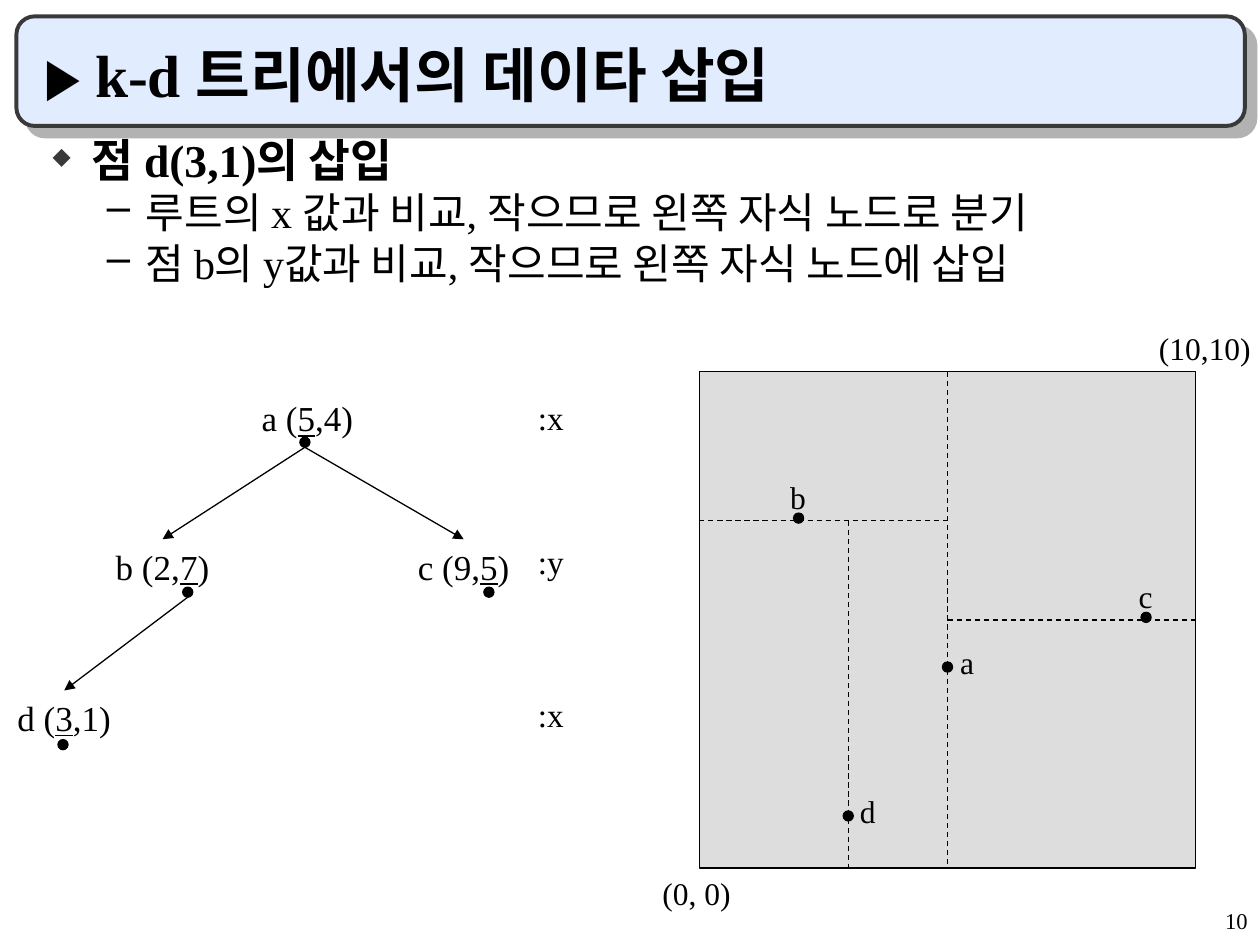
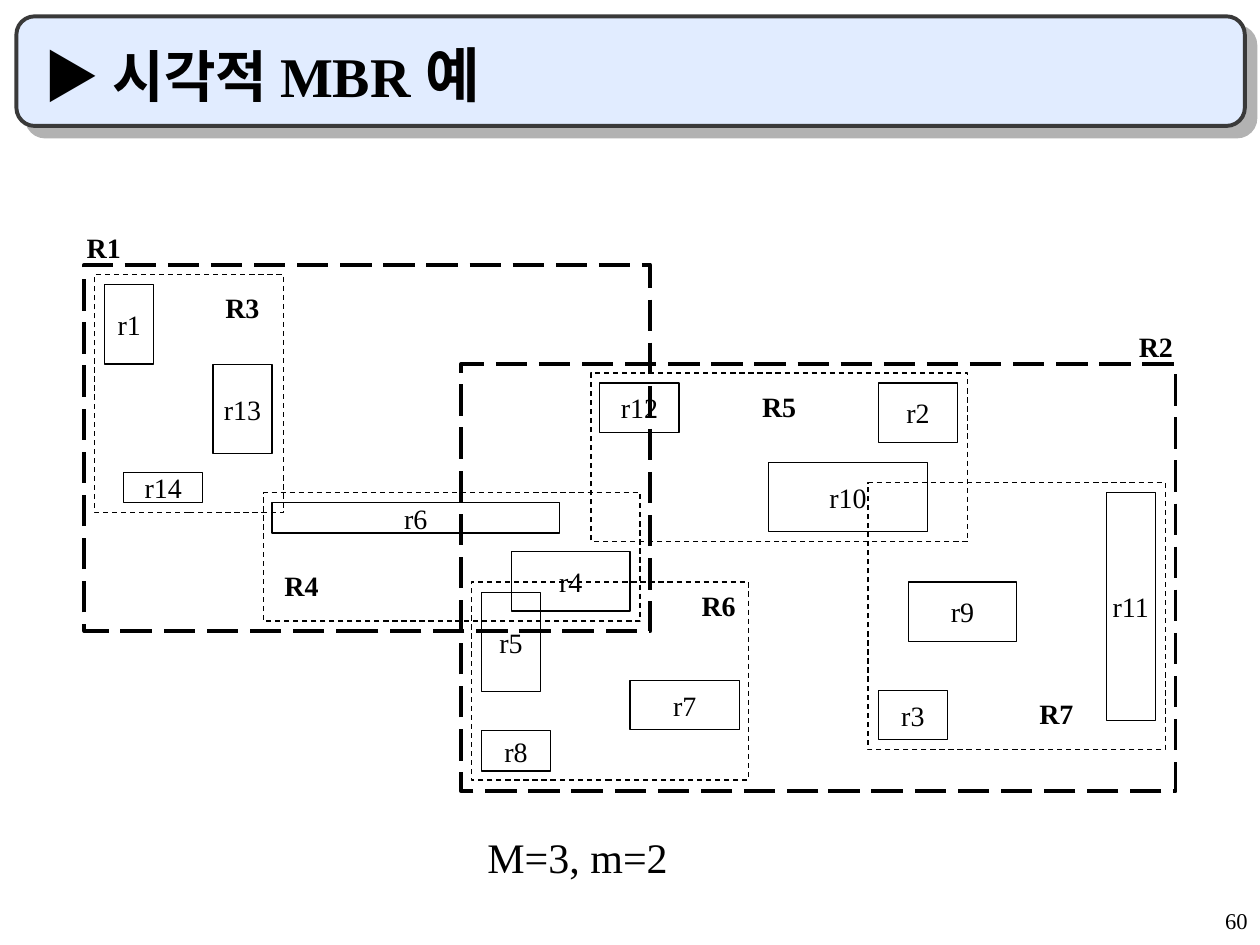
import lxml.etree
import pptx
import pptx.dml.color
import pptx.enum.dml
import pptx.enum.shapes
import pptx.enum.text
import pptx.oxml.ns
import pptx.util

Inches = pptx.util.Inches
Pt = pptx.util.Pt
SHAPE = pptx.enum.shapes.MSO_SHAPE
ALIGN = pptx.enum.text.PP_ALIGN
ANCHOR = pptx.enum.text.MSO_ANCHOR
DASH = pptx.enum.dml.MSO_LINE

FONT = "Times New Roman"
COLORS = {
    "ink": "000000",
    "band": "E1ECFF",
    "edge": "393939",
    "shadow": "B2B2B2",
    "region": "DDDDDD",
}
DOT = 0.08
NODE_WIDTH = 0.96

# Region of the k-d plane: ten units on each axis
REGION_LEFT, REGION_TOP, REGION_SIZE = 5.55, 2.95, 3.94
UNIT = REGION_SIZE / 10

BOUNDS_THICK = [(0.67, 2.1, 4.49, 2.91), (3.66, 2.89, 5.67, 3.39)]
BOUNDS_THIN = [
    (0.75, 2.18, 1.5, 1.89),
    (2.09, 3.91, 2.99, 1.02),
    (4.69, 2.96, 2.99, 1.34),
    (3.74, 4.62, 2.2, 1.57),
    (6.89, 3.83, 2.36, 2.12),
]
OBJECTS = {
    "r1": (0.83, 2.26, 0.39, 0.63),
    "r13": (1.69, 2.89, 0.47, 0.71),
    "r14": (0.98, 3.75, 0.63, 0.24),
    "r6": (2.16, 3.99, 2.28, 0.24),
    "r4": (4.06, 4.38, 0.94, 0.47),
    "r5": (3.82, 4.7, 0.47, 0.79),
    "r8": (3.82, 5.8, 0.55, 0.32),
    "r7": (5, 5.4, 0.87, 0.39),
    "r12": (4.76, 3.04, 0.63, 0.39),
    "r10": (6.1, 3.67, 1.26, 0.55),
    "r11": (8.78, 3.91, 0.39, 1.81),
    "r3": (6.97, 5.48, 0.55, 0.39),
    "r9": (7.21, 4.62, 0.86, 0.47),
    "r2": (6.97, 3.04, 0.63, 0.47),
}
BOUND_LABELS = {
    "R1": (0.59, 1.78),
    "R2": (8.94, 2.57),
    "R3": (1.69, 2.26),
    "R4": (2.16, 4.46),
    "R5": (5.95, 3.04),
    "R6": (5.47, 4.62),
    "R7": (8.15, 5.48),
}


def color(name):
    return pptx.dml.color.RGBColor.from_string(COLORS[name])


def add_element(parent, tag, **attributes):
    element = lxml.etree.SubElement(parent, pptx.oxml.ns.qn(tag))
    for key, value in attributes.items():
        element.set(key, str(value))
    return element


def add_span(para, text, size, bold=False, underline=False):
    span = para.add_run()
    span.text = text
    span.font.name = FONT
    span.font.size = Pt(size)
    span.font.bold = bold
    span.font.underline = underline
    span.font.color.rgb = color("ink")


def add_text(page, place, spans, align=ALIGN.LEFT, wrap=True, anchor=ANCHOR.TOP):
    """Add a one-paragraph text box; each span holds add_span's arguments."""
    box = page.shapes.add_textbox(*map(Inches, place))
    box.text_frame.word_wrap = wrap
    box.text_frame.vertical_anchor = anchor
    para = box.text_frame.paragraphs[0]
    para.alignment = align
    for span in spans:
        add_span(para, *span)
    return box


def add_block(page, place, kind=SHAPE.RECTANGLE, fill=None, edge="ink",
              width=0.75, dash=None):
    block = page.shapes.add_shape(kind, *map(Inches, place))
    block.shadow.inherit = False
    if fill:
        block.fill.solid()
        block.fill.fore_color.rgb = color(fill)
    else:
        block.fill.background()
    block.line.color.rgb = color(edge)
    block.line.width = Pt(width)
    if dash:
        block.line.dash_style = dash
    return block


def add_dot(page, x, y):
    add_block(page, (x - DOT / 2, y - DOT / 2, DOT, DOT), SHAPE.OVAL, "ink")


def add_line(page, start, end, dash=None, arrow=False):
    line = page.shapes.add_connector(
        pptx.enum.shapes.MSO_CONNECTOR.STRAIGHT, *map(Inches, start + end))
    line.line.color.rgb = color("ink")
    line.line.width = Pt(0.75)
    if dash:
        line.line.dash_style = dash
    if arrow:
        add_element(line.line._get_or_add_ln(), "a:tailEnd", type="triangle")
    add_element(line._element.spPr, "a:effectLst")
    return line


def set_indent(para, left, hanging):
    properties = para._p.get_or_add_pPr()
    properties.set("marL", str(Inches(left)))
    properties.set("indent", str(-Inches(hanging)))
    return properties


def set_bullet(para, symbol, tint, percent, left, hanging):
    properties = set_indent(para, left, hanging)
    add_element(add_element(properties, "a:buClr"), "a:srgbClr", val=COLORS[tint])
    add_element(properties, "a:buSzPct", val=percent * 1000)
    add_element(properties, "a:buChar", char=symbol)


def add_page(deck, title_spans, number):
    """Add a page with the title band, the title and the page number."""
    page = deck.slides.add_slide(deck.slide_layouts[6])
    band = add_block(page, (0.13, 0.13, 9.75, 0.87), SHAPE.ROUNDED_RECTANGLE,
                     "band", "edge", 2.25)
    band.adjustments[0] = 0.167
    effects = band._element.spPr.find(pptx.oxml.ns.qn("a:effectLst"))
    shadow = add_element(effects, "a:outerShdw", dist=Pt(8.5), dir=45 * 60000,
                         algn="ctr", rotWithShape=0)
    add_element(shadow, "a:srgbClr", val=COLORS["shadow"])

    footer = add_text(page, (7.92, 7.17, 2.08, 0.33), [(number, 12.9)], ALIGN.RIGHT)
    footer.text_frame.paragraphs[0].line_spacing = 0.9
    add_text(page, (0.25, 0.25, 9.42, 0.67), title_spans, anchor=ANCHOR.BOTTOM)
    return page


def add_outline(page, heading, points):
    box = add_text(page, (0.25, 1.08, 9.42, 5.83), [])
    frame = box.text_frame
    first = frame.paragraphs[0]
    set_bullet(first, "◆", "edge", 52, 0.38, 0.31)
    first.line_spacing = 0.8
    add_span(first, heading, 26, True)
    for point in points:
        para = frame.add_paragraph()
        para.level = 1
        set_bullet(para, "–", "ink", 100, 0.81, 0.31)
        para.line_spacing = 0.8
        para.space_before = Pt(6)
        add_span(para, point, 24)


def add_node(page, center, top, parts, dot):
    """Add a tree node whose middle part, the compared key, is underlined."""
    before, key, after = parts
    add_dot(page, *dot)
    spans = [(before, 20), (key, 20, False, True), (after, 20)]
    place = (center - NODE_WIDTH / 2, top, NODE_WIDTH, 0.44)
    return add_text(page, place, spans, ALIGN.CENTER, wrap=False)


def add_tree(page):
    add_node(page, 2.44, 3.1, ("a (", "5", ",4)"), (2.42, 3.51))
    node_b = add_node(page, 1.29, 4.28, ("b (2,", "7", ")"), (1.49, 4.7))
    node_c = add_node(page, 3.68, 4.28, ("c (9,", "5", ")"), (3.88, 4.7))
    node_d = add_node(page, 0.51, 5.48, ("d (", "3", ",1)"), (0.5, 5.91))
    branches = [((2.42, 3.55), node_b), ((2.42, 3.55), node_c), ((1.49, 4.74), node_d)]
    for start, child in branches:
        add_line(page, start, start, arrow=True).end_connect(child, 0)
    # Axis compared at each level
    for axis, top in ((":x", 3.1), (":y", 4.25), (":x", 5.46)):
        add_text(page, (4.17, top, 0.98, 0.42), [(axis, 19)])


def plane(x, y):
    return REGION_LEFT + x * UNIT, REGION_TOP + REGION_SIZE - y * UNIT


def add_region(page):
    square = add_block(page, (REGION_LEFT, REGION_TOP, REGION_SIZE, REGION_SIZE),
                       fill="region")
    # Splitting lines
    middle = add_line(page, plane(5, 10), plane(5, 0), DASH.DASH)
    middle.begin_connect(square, 0)
    middle.end_connect(square, 2)
    for start, end in (((0, 7), (5, 7)), ((3, 7), (3, 0)), ((5, 5), (10, 5))):
        add_line(page, plane(*start), plane(*end), DASH.DASH)
    # Points, each labelled beside or above
    beside, above = (-0.04, -0.26), (-0.2, -0.39)
    points = [("a", 5, 4, beside), ("b", 2, 7, above),
              ("c", 9, 5, above), ("d", 3, 1, beside)]
    for name, x, y, (shift_x, shift_y) in points:
        left, top = plane(x, y)
        add_dot(page, left, top - 0.02)
        add_text(page, (left + shift_x, top + shift_y, 0.39, 0.4),
                 [(name, 18)], ALIGN.CENTER)
    # Corners, with the full width up to the slide edge for the text
    for corner, left, top in (("(10,10)", 9.1, 2.56), ("(0, 0)", 5.16, 6.89)):
        label = add_text(page, (left, top, 0.9, 0.4), [(corner, 18)], wrap=False)
        label.text_frame.margin_right = 0


def add_rectangles(page):
    for place in BOUNDS_THICK:
        add_block(page, place, width=2.25, dash=DASH.LONG_DASH)
    for place in BOUNDS_THIN:
        add_block(page, place, dash=DASH.DASH)
    for name, place in OBJECTS.items():
        frame = add_block(page, place).text_frame
        frame.word_wrap = False
        frame.vertical_anchor = ANCHOR.MIDDLE
        frame.paragraphs[0].alignment = ALIGN.CENTER
        add_span(frame.paragraphs[0], name, 16)
    for name, place in BOUND_LABELS.items():
        add_text(page, place + (0.47, 0.37), [(name, 16, True)])


def main():
    deck = pptx.Presentation()
    deck.slide_width, deck.slide_height = Inches(10), Inches(7.5)

    # Inserting a point into a k-d tree
    page = add_page(deck, [("▶ ", 32, True), ("k-d 트리에서의 데이타 삽입", 34, True)], "10")
    add_outline(page, "점 d(3,1)의 삽입", [
        "루트의 x 값과 비교, 작으므로 왼쪽 자식 노드로 분기",
        "점 b의 y값과 비교, 작으므로 왼쪽 자식 노드에 삽입",
    ])
    add_tree(page)
    add_region(page)

    # Minimum bounding rectangles
    page = add_page(deck, [("▶ 시각적 MBR", 32, True), (" 예", 34, True)], "60")
    add_rectangles(page)
    limits = add_text(page, (3.27, 6.66, 4.73, 0.38), [("M=3, m=2", 24)])
    para = limits.text_frame.paragraphs[0]
    set_indent(para, 0.81, 0.31)
    para.line_spacing = 0.7

    deck.save("out.pptx")


if __name__ == "__main__":
    main()
